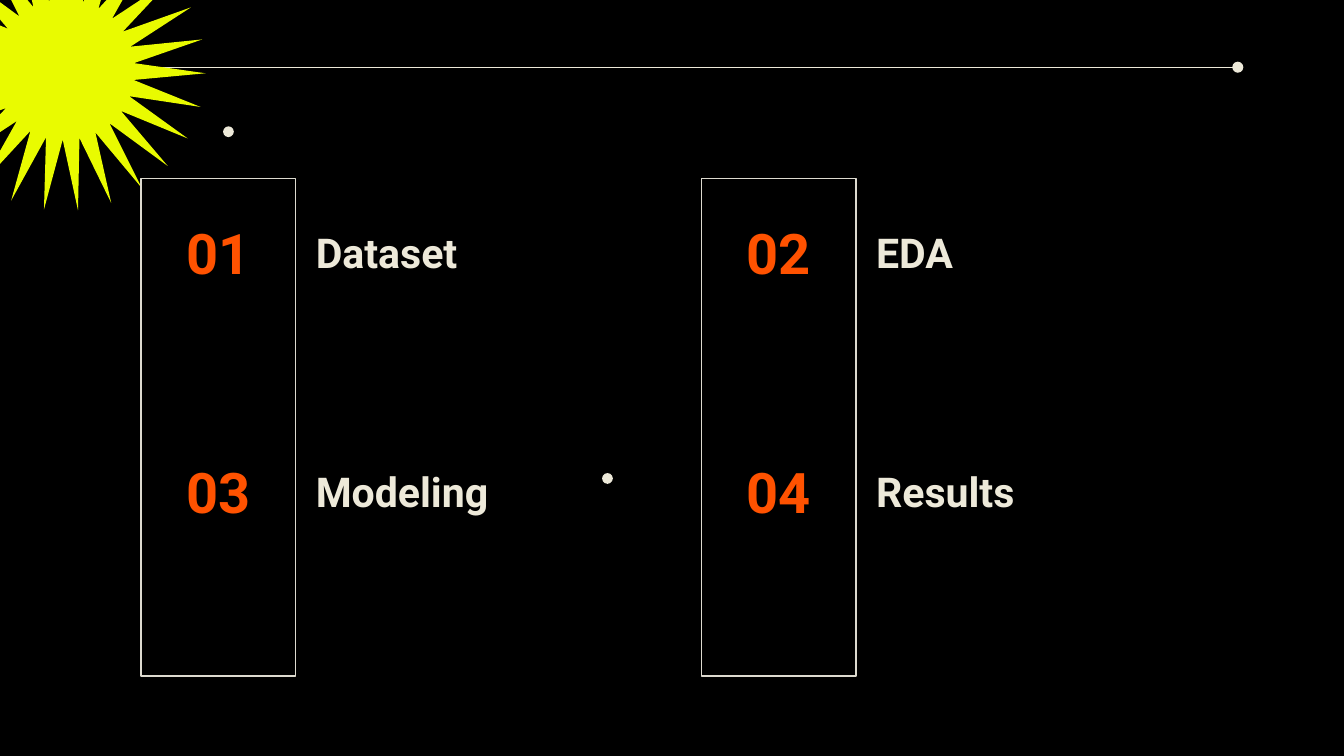
"""Build a black contents slide with four numbered sections and a sunburst."""
from dataclasses import dataclass
from math import cos, radians, sin

from lxml import etree
from pptx import Presentation
from pptx.dml.color import RGBColor
from pptx.enum.shapes import MSO_CONNECTOR, MSO_SHAPE
from pptx.enum.text import MSO_ANCHOR, PP_ALIGN
from pptx.oxml.ns import qn
from pptx.shapes.autoshape import Shape
from pptx.slide import Slide
from pptx.util import Inches, Pt

RECTANGLE, OVAL = MSO_SHAPE.RECTANGLE, MSO_SHAPE.OVAL
STRAIGHT = MSO_CONNECTOR.STRAIGHT
MIDDLE = MSO_ANCHOR.MIDDLE
LEFT, CENTER = PP_ALIGN.LEFT, PP_ALIGN.CENTER

COLORS = {
    "background": "000000",
    "cream": "EDE9D9",
    "frame": "DDDACF",
    "sun": "E9FB00",
    "number": "FF5200",
}
SLIDE_WIDTH = 10
SLIDE_HEIGHT = SLIDE_WIDTH * 9 / 16
GRID_LEFT, GRID_TOP = 1.05, 1.33
COLUMN_PITCH, ROW_PITCH = 4.17, 1.78
COLUMN_COUNT = 2
FRAME_WIDTH, FRAME_HEIGHT = 1.15, 3.7
DOT_SIZE = 0.08


@dataclass(frozen=True)
class TextStyle:
    """Place within a grid cell and look of one kind of text."""
    offset_left: float
    offset_top: float
    width: float
    height: float
    size: int
    color: str
    alignment: PP_ALIGN
    margin_left: float
    margin_right: float


@dataclass(frozen=True)
class Sunburst:
    """Star of evenly spaced rays around a centre."""
    center_x: float
    center_y: float
    outer_radius: float
    inner_radius: float
    ray_count: int
    start_angle: float


@dataclass(frozen=True)
class Dot:
    """Small round mark at a left and top position."""
    left: float
    top: float


NUMBER = TextStyle(0.1, 0.32, 0.95, 0.45, 30, "number", CENTER, 0.1, 0.1)
LABEL = TextStyle(FRAME_WIDTH, 0.16, 2.8, 0.77, 22, "cream", LEFT, 0.15, 0)
SECTIONS = ("Dataset", "EDA", "Modeling", "Results")
SUN = Sunburst(0.48, 0.52, 1.05, 0.52, 26, 1.4)
DOTS = (Dot(1.66, 0.94), Dot(4.48, 3.52))


def rgb(name: str) -> RGBColor:
    """Return the named colour."""
    return RGBColor.from_string(COLORS[name])


def apply_format(target: object, values: dict) -> None:
    """Set every attribute in the format values."""
    for name, value in values.items():
        setattr(target, name, value)


def fill_plain(shape: Shape, color: str) -> None:
    """Give a shape a flat fill without outline or shadow."""
    shape.shadow.inherit = False
    shape.fill.solid()
    shape.fill.fore_color.rgb = rgb(color)
    shape.line.fill.background()


def draw_rule(slide: Slide) -> None:
    """Draw the top line with round ends."""
    ends = [Inches(value) for value in (0.8, 0.5, 9.21, 0.5)]
    connector = slide.shapes.add_connector(STRAIGHT, *ends)
    connector.line.color.rgb = rgb("cream")
    connector.line.width = Pt(0.75)
    outline = connector.line._get_or_add_ln()
    for tag in ("a:headEnd", "a:tailEnd"):
        etree.SubElement(outline, qn(tag), type="oval")
    etree.SubElement(connector._element.spPr, qn("a:effectLst"))


def draw_sun(slide: Slide, sun: Sunburst) -> None:
    """Draw the sunburst as alternating outer and inner points."""
    points = []
    for index in range(2 * sun.ray_count):
        radius = sun.inner_radius if index % 2 else sun.outer_radius
        angle = radians(sun.start_angle + index * 180 / sun.ray_count)
        points.append((Inches(sun.center_x + radius * cos(angle)),
                       Inches(sun.center_y + radius * sin(angle))))
    builder = slide.shapes.build_freeform(*points[0])
    builder.add_line_segments(points[1:], close=True)
    fill_plain(builder.convert_to_shape(), "sun")


def draw_frame(slide: Slide, column: int) -> None:
    """Draw the outlined frame of one column."""
    frame = slide.shapes.add_shape(
        RECTANGLE, Inches(GRID_LEFT + column * COLUMN_PITCH), Inches(GRID_TOP),
        Inches(FRAME_WIDTH), Inches(FRAME_HEIGHT))
    frame.shadow.inherit = False
    frame.fill.background()
    frame.line.color.rgb = rgb("frame")
    frame.line.width = Pt(0.75)


def draw_text(slide: Slide, text: str, index: int, style: TextStyle) -> None:
    """Write one text in the grid cell with the given index."""
    row, column = divmod(index, COLUMN_COUNT)
    box = slide.shapes.add_textbox(
        Inches(GRID_LEFT + column * COLUMN_PITCH + style.offset_left),
        Inches(GRID_TOP + row * ROW_PITCH + style.offset_top),
        Inches(style.width), Inches(style.height))
    apply_format(box.text_frame, {
        "word_wrap": True,
        "vertical_anchor": MIDDLE,
        "margin_left": Inches(style.margin_left),
        "margin_right": Inches(style.margin_right),
        "margin_top": Inches(0.1),
        "margin_bottom": Inches(0.1),
    })
    paragraph = box.text_frame.paragraphs[0]
    paragraph.alignment = style.alignment
    run = paragraph.add_run()
    run.text = text
    apply_format(run.font, {"name": "Roboto", "size": Pt(style.size), "bold": True})
    run.font.color.rgb = rgb(style.color)


def draw_dot(slide: Slide, dot: Dot) -> None:
    """Draw one small round mark."""
    shape = slide.shapes.add_shape(
        OVAL, Inches(dot.left), Inches(dot.top), Inches(DOT_SIZE), Inches(DOT_SIZE))
    fill_plain(shape, "cream")


def main() -> None:
    """Build and save the slide."""
    presentation = Presentation()
    presentation.slide_width = Inches(SLIDE_WIDTH)
    presentation.slide_height = Inches(SLIDE_HEIGHT)
    slide = presentation.slides.add_slide(presentation.slide_layouts[6])
    slide.background.fill.solid()
    slide.background.fill.fore_color.rgb = rgb("background")
    draw_rule(slide)
    draw_sun(slide, SUN)
    for column in reversed(range(COLUMN_COUNT)):
        draw_frame(slide, column)
    for index, title in enumerate(SECTIONS):
        draw_text(slide, title, index, LABEL)
    for index in range(len(SECTIONS)):
        draw_text(slide, f"{index + 1:02d}", index, NUMBER)
    for dot in DOTS:
        draw_dot(slide, dot)
    presentation.save("out.pptx")


if __name__ == "__main__":
    main()
